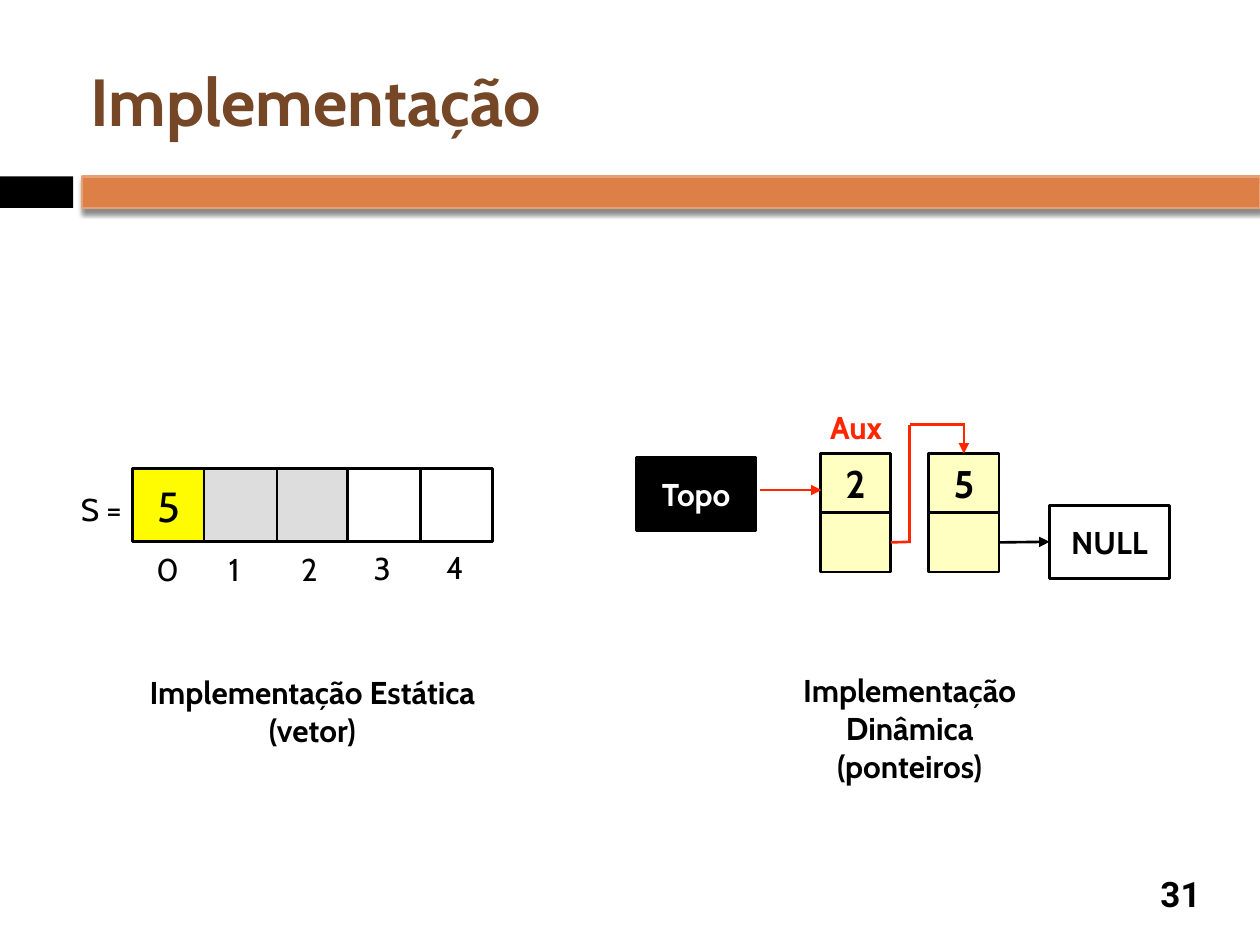
from dataclasses import dataclass
from typing import Optional

from lxml import etree
from pptx import Presentation, util as u
from pptx.dml.color import RGBColor
from pptx.enum import shapes, text
from pptx.oxml import ns

BLACK = RGBColor(0x00, 0x00, 0x00)
WHITE = RGBColor(0xFF, 0xFF, 0xFF)
ORANGE = RGBColor(0xDD, 0x80, 0x47)
LIGHT_ORANGE = RGBColor(0xE5, 0xA0, 0x75)
BROWN = RGBColor(0x75, 0x47, 0x26)
YELLOW = RGBColor(0xFF, 0xFB, 0x00)
GREY = RGBColor(0xDD, 0xDD, 0xDD)
CREAM = RGBColor(0xFF, 0xFF, 0xC2)
RED = RGBColor(0xFF, 0x26, 0x00)

LINE_WIDTH = u.Pt(1.5)
CENTER, LEFT = text.PP_ALIGN.CENTER, text.PP_ALIGN.LEFT
TOP, MIDDLE = text.MSO_ANCHOR.TOP, text.MSO_ANCHOR.MIDDLE
RIGHT_SIDE, LEFT_SIDE, TOP_SIDE = 3, 1, 0


@dataclass
class Area:
    left: float
    top: float
    width: float
    height: float

    def lengths(self) -> list:
        return [u.Inches(v) for v in (self.left, self.top, self.width, self.height)]


@dataclass
class Style:
    size: float = 18
    color: RGBColor = BLACK
    bold: bool = False
    name: str = "Cabin"
    align: int = CENTER


@dataclass
class Arrow:
    start: tuple
    end: tuple
    color: RGBColor = RED
    head: bool = False
    start_box: Optional[object] = None
    end_box: Optional[object] = None
    end_side: int = LEFT_SIDE


def set_attributes(target, values: dict) -> None:
    for name, value in values.items():
        setattr(target, name, value)


def write(box, lines: list, style: Style, anchor) -> None:
    frame = box.text_frame
    margins = dict.fromkeys(
        ("margin_left", "margin_right", "margin_top", "margin_bottom"), u.Inches(0.05))
    set_attributes(frame, {**margins, "vertical_anchor": anchor})
    for number, line in enumerate(lines):
        para = frame.paragraphs[0] if number == 0 else frame.add_paragraph()
        para.alignment = style.align
        span = para.add_run()
        span.text = line
        set_attributes(span.font, {"size": u.Pt(style.size), "bold": style.bold,
                                   "name": style.name})
        span.font.color.rgb = style.color


def add_text(page, area: Area, lines: list, style: Style,
             wrap: bool = False, anchor=TOP, grow: bool = True):
    box = page.shapes.add_textbox(*area.lengths())
    write(box, lines, style, anchor)
    fit = text.MSO_AUTO_SIZE
    set_attributes(box.text_frame, {
        "word_wrap": wrap, "auto_size": fit.SHAPE_TO_FIT_TEXT if grow else fit.NONE})
    return box


def add_box(page, area: Area, fill: RGBColor, line: Optional[RGBColor] = BLACK,
            label: str = "", style: Optional[Style] = None):
    box = page.shapes.add_shape(shapes.MSO_SHAPE.RECTANGLE, *area.lengths())
    box.shadow.inherit = False
    box.fill.solid()
    box.fill.fore_color.rgb = fill
    if line is None:
        box.line.fill.background()
    else:
        box.line.color.rgb = line
        box.line.width = LINE_WIDTH
    if label:
        write(box, [label], style or Style(), MIDDLE)
    return box


def add_arrow(page, arrow: Arrow) -> None:
    ends = [u.Inches(v) for v in (*arrow.start, *arrow.end)]
    line = page.shapes.add_connector(shapes.MSO_CONNECTOR.STRAIGHT, *ends)
    if arrow.start_box is not None:
        line.begin_connect(arrow.start_box, RIGHT_SIDE)
    if arrow.end_box is not None:
        line.end_connect(arrow.end_box, arrow.end_side)
    line.line.color.rgb = arrow.color
    line.line.width = LINE_WIDTH
    if arrow.head:
        etree.SubElement(line.line._get_or_add_ln(), ns.qn("a:tailEnd"), type="triangle")
    etree.SubElement(line._element.spPr, ns.qn("a:effectLst"))


def add_soft_shadow(box) -> None:
    effects = box._element.spPr.find(ns.qn("a:effectLst"))
    shadow = etree.SubElement(
        effects, ns.qn("a:outerShdw"), blurRad=str(u.Pt(3)), dist=str(u.Pt(2.4)),
        dir="5400000", algn="ctr", rotWithShape="0")
    color = etree.SubElement(shadow, ns.qn("a:srgbClr"), val=str(BLACK))
    etree.SubElement(color, ns.qn("a:alpha"), val="45000")


def draw_frame(page) -> None:
    """Title, header band and page number."""
    add_box(page, Area(0, 1.4, 0.58, 0.25), BLACK, None)
    add_soft_shadow(add_box(page, Area(0.65, 1.4, 9.35, 0.25), ORANGE, LIGHT_ORANGE))
    add_text(page, Area(9.08, 6.89, 0.58, 0.41), ["31"],
             Style(20, bold=True, name="Roboto"), True, MIDDLE, False)
    add_text(page, Area(0.67, 0.25, 8.92, 1.08), ["Implementação"],
             Style(38, BROWN, True, align=LEFT), True, MIDDLE, False)


def draw_array(page) -> None:
    fills = [YELLOW, GREY, GREY, WHITE, WHITE]
    for index in (4, 0, 2, 3, 1):  # back to front, where the borders overlap
        add_box(page, Area(1.05 + 0.57 * index, 3.72, 0.58, 0.58), fills[index],
                label="5" if index == 0 else "", style=Style(24))
    for index, top in enumerate((4.32, 4.32, 4.32, 4.31, 4.3)):
        add_text(page, Area(1.19 + 0.575 * index, top, 0.25, 0.36), [str(index)],
                 Style(align=LEFT))
    add_text(page, Area(0.57, 3.84, 0.47, 0.36), ["S ="], Style())


def add_node(page, left: float, value: str) -> tuple:
    """Draw a list node and return its value box and its pointer box."""
    pointer = add_box(page, Area(left, 4.07, 0.56, 0.47), CREAM)
    content = add_box(page, Area(left, 3.6, 0.56, 0.47), CREAM, label=value,
                      style=Style(22, bold=True))
    return content, pointer


def draw_list(page) -> None:
    _, first_pointer = add_node(page, 6.51, "2")
    add_box(page, Area(5.05, 3.63, 0.95, 0.58), BLACK, label="Topo",
            style=Style(color=WHITE, bold=True))
    null = add_box(page, Area(8.33, 4.01, 0.95, 0.58), WHITE, label="NULL",
                   style=Style(bold=True))
    last_value, last_pointer = add_node(page, 7.37, "5")
    arrows = [
        Arrow((7.93, 4.3), (8.33, 4.3), BLACK, True, last_pointer, null),
        Arrow((6.03, 3.89), (6.52, 3.89), head=True),
        Arrow((7.07, 4.3), (7.23, 4.3), start_box=first_pointer),
        Arrow((7.22, 3.37), (7.66, 3.37)),
        Arrow((7.22, 3.37), (7.22, 4.3)),
        Arrow((7.65, 3.37), (7.65, 3.6), head=True, end_box=last_value,
              end_side=TOP_SIDE),
    ]
    for arrow in arrows:
        add_arrow(page, arrow)
    add_text(page, Area(6.52, 3.19, 0.55, 0.36), ["Aux"], Style(color=RED, bold=True))


def main() -> None:
    deck = Presentation()
    deck.slide_width, deck.slide_height = u.Inches(10), u.Inches(7.5)
    page = deck.slides.add_slide(deck.slide_layouts[6])
    draw_frame(page)
    draw_array(page)
    draw_list(page)
    captions = [(1.08, 5.29, ["Implementação Estática", "(vetor)"]),
                (5.82, 5.28, ["Implementação Dinâmica", "(ponteiros)"])]
    for left, top, lines in captions:
        add_text(page, Area(left, top, 2.8, 0.63), lines, Style(bold=True), wrap=True)
    deck.save("out.pptx")


if __name__ == "__main__":
    main()
